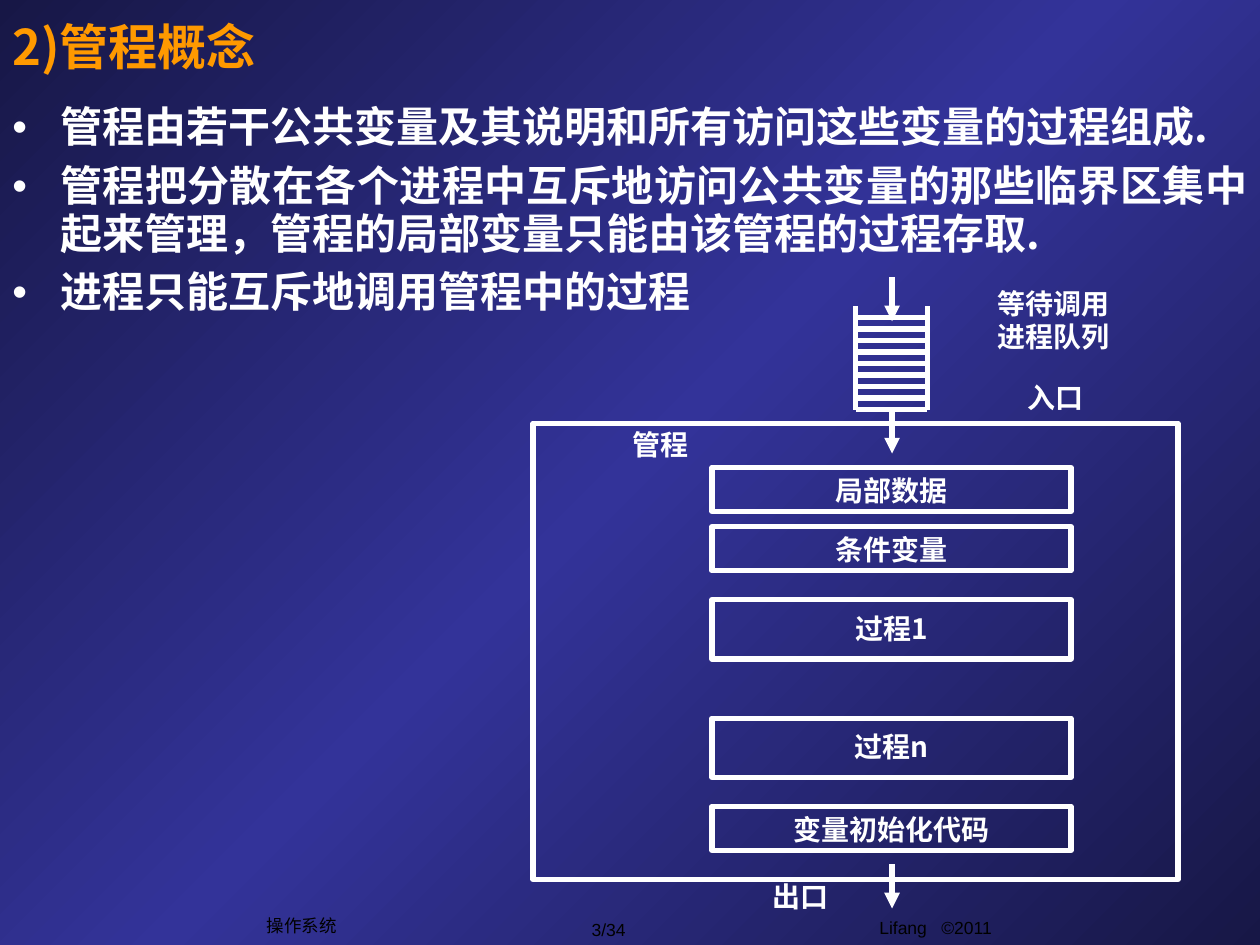
from copy import deepcopy

from lxml import etree
from pptx import Presentation
from pptx import util as u
from pptx.dml.color import RGBColor
from pptx.enum import shapes, text
from pptx.oxml.ns import qn

SC, JP = "Noto Sans CJK SC", "Noto Sans CJK JP"
LEFT, CENTER, JUSTIFY = text.PP_ALIGN.LEFT, text.PP_ALIGN.CENTER, text.PP_ALIGN.JUSTIFY
TOP, MIDDLE = text.MSO_ANCHOR.TOP, text.MSO_ANCHOR.MIDDLE
WHITE = "FFFFFF"


def rgb(value):
    return RGBColor.from_string(value)


def write(sp, lines, size=16, font=SC, color=WHITE, bold=True, align=CENTER,
          anchor=TOP, inset=(0.1, 0.05), wrap=True, bullet=None):
    tf = sp.text_frame
    x, y = (u.Inches(v) for v in inset)
    frame = {"word_wrap": wrap, "vertical_anchor": anchor, "margin_left": x,
             "margin_right": x, "margin_top": y, "margin_bottom": y}
    for name, value in frame.items():
        setattr(tf, name, value)
    for i, line in enumerate(lines):
        p = tf.paragraphs[0] if i == 0 else tf.add_paragraph()
        p.alignment = align
        if bullet:
            p.line_spacing = 0.95
            p.space_before = u.Pt(6 if i else 0)
            pPr = p._p.get_or_add_pPr()
            pPr.set("marL", str(u.Inches(0.38)))
            pPr.set("indent", str(u.Inches(-0.38)))
            etree.SubElement(pPr, qn("a:buFont")).set("typeface", "Arial")
            etree.SubElement(pPr, qn("a:buChar")).set("char", bullet)
        r = p.add_run()
        r.text = line
        for name, value in {"size": u.Pt(size), "bold": bold, "name": font}.items():
            setattr(r.font, name, value)
        r.font.color.rgb = rgb(color)
        # East Asian glyphs take their own typeface
        ea = etree.SubElement(r._r.get_or_add_rPr(), qn("a:ea"))
        ea.set("typeface", SC if font == "Arial" else font)


prs = Presentation()
prs.slide_width, prs.slide_height = u.Inches(10), u.Inches(7.5)
s = prs.slides.add_slide(prs.slide_layouts[6])

# Diagonal background gradient with a bright middle
fill = s.background.fill
fill.gradient()
fill.gradient_angle = 135
stop_list = next(s.element.iter(qn("a:gsLst")))
stop_list.insert(1, deepcopy(stop_list[0]))
for stop, (position, color) in zip(
        fill.gradient_stops, [(0, "171746"), (0.5, "333399"), (1, "171746")]):
    stop.position = position
    stop.color.rgb = rgb(color)

# Text boxes: footer, title, bullets and diagram labels
footer = {"size": 10, "font": "Arial", "color": "000000", "bold": False}
label = {"inset": (0, 0)}
for box, lines, style in [
    ((5.84, 7.23, 3.17, 0.35), ["Lifang \u00a0 ©2011".replace("\u00a0", " ")], footer),
    ((4.32, 7.24, 1.02, 0.27), ["3/34"], {**footer, "anchor": MIDDLE, "wrap": False}),
    ((2.02, 7.21, 0.75, 0.27), ["操作系统"], {**footer, "anchor": MIDDLE, "wrap": False}),
    ((0, 0, 8.5, 0.73), ["2)管程概念"],
     {"size": 28, "color": "FF9900", "align": LEFT, "anchor": MIDDLE}),
    ((0, 0.78, 10, 1.85),
     ["管程由若干公共变量及其说明和所有访问这些变量的过程组成.",
      "管程把分散在各个进程中互斥地访问公共变量的那些临界区集中起来管理，管程的局部变量只能由该管程的过程存取.",
      "进程只能互斥地调用管程中的过程"],
     {"size": 24, "font": JP, "align": JUSTIFY, "bullet": "•"}),
    ((5.63, 6.98, 1.45, 0.3), ["出口"], label),
    ((4.52, 3.39, 1.45, 0.32), ["管程"], label),
    ((7.65, 3.02, 1.45, 0.34), ["入口"], label),
    ((7.65, 2.27, 1.42, 0.62), ["等待调用", "进程队列"], label),
]:
    write(s.shapes.add_textbox(*map(u.Inches, box)), lines, **style)

# Monitor frame and the parts inside it
for x, y, w, h, name, pad in [
    (4.23, 3.36, 5.12, 3.62, None, 0),
    (5.65, 3.71, 2.85, 0.35, "局部数据", 0.05),
    (5.65, 4.18, 2.85, 0.35, "条件变量", 0.05),
    (5.65, 4.76, 2.85, 0.47, "过程1", 0.09),
    (5.65, 5.7, 2.85, 0.47, "过程n", 0.09),
    (5.65, 6.4, 2.85, 0.35, "变量初始化代码", 0.05),
]:
    sp = s.shapes.add_shape(shapes.MSO_SHAPE.RECTANGLE, *map(u.Inches, (x, y, w, h)))
    sp.shadow.inherit = False
    sp.fill.background()
    sp.line.color.rgb = rgb(WHITE)
    sp.line.width = u.Pt(3)
    if name:
        write(sp, [name], inset=(0.1, pad))

# Waiting queue (two sides, nine rungs) and the three flow arrows
left, right, middle, bottom = 6.79, 7.36, 7.08, 3.25
lines = [(x, 2.43, x, bottom, False) for x in (left, right)]
for i in range(9):
    y = bottom - i * 0.73 / 8
    lines.append((left, y, right, y, False))
lines += [(middle, y, middle, y + 0.35, True) for y in (2.2, bottom, 6.86)]
for *ends, arrow in lines:
    c = s.shapes.add_connector(shapes.MSO_CONNECTOR.STRAIGHT, *map(u.Inches, ends))
    c.line.color.rgb = rgb(WHITE)
    c.line.width = u.Pt(3)
    if arrow:
        etree.SubElement(c.line._get_or_add_ln(), qn("a:tailEnd")).set("type", "triangle")
    etree.SubElement(c._element.spPr, qn("a:effectLst"))

prs.save("out.pptx")
